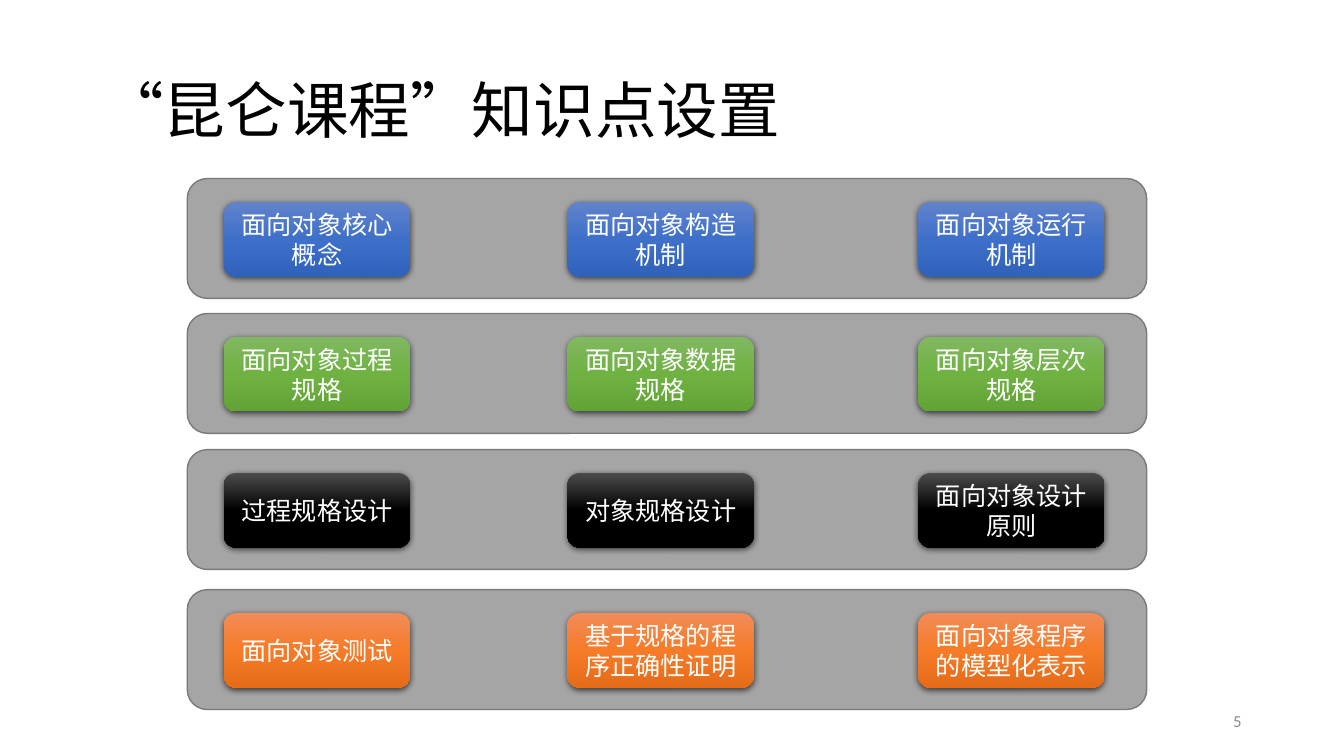
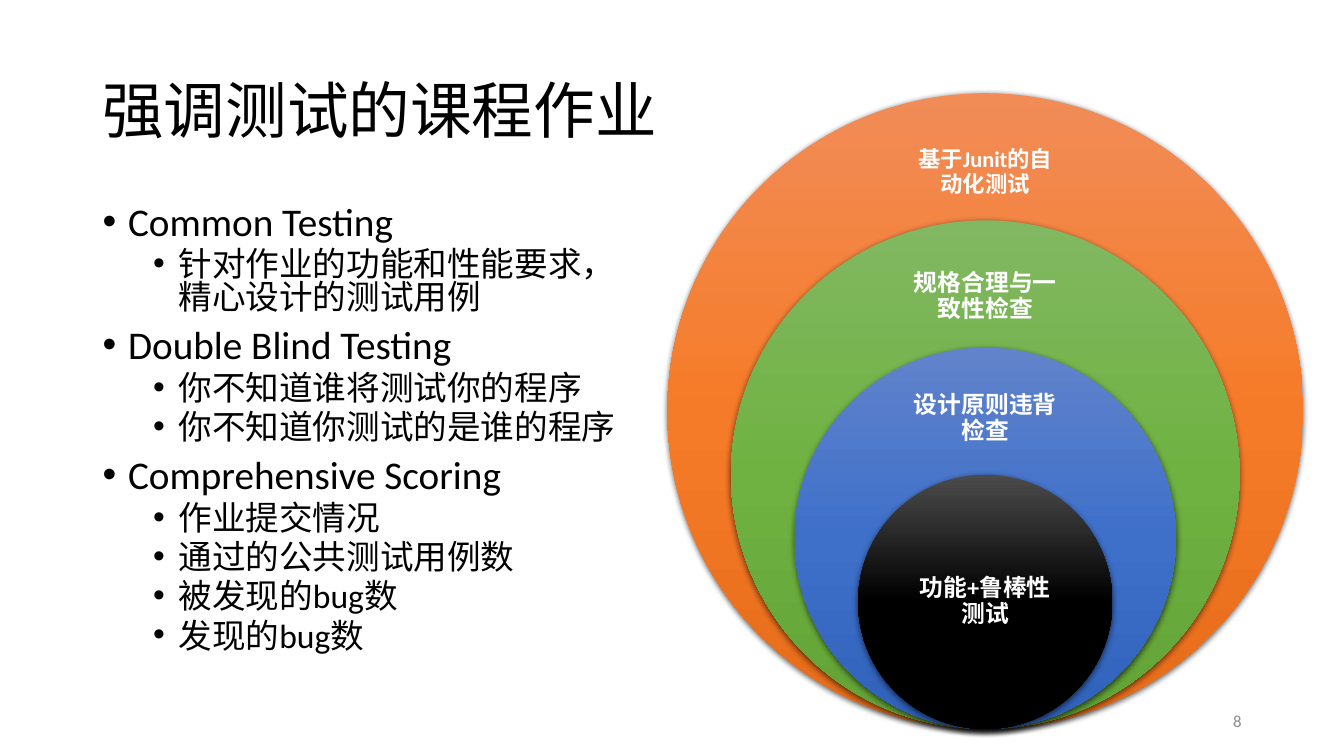
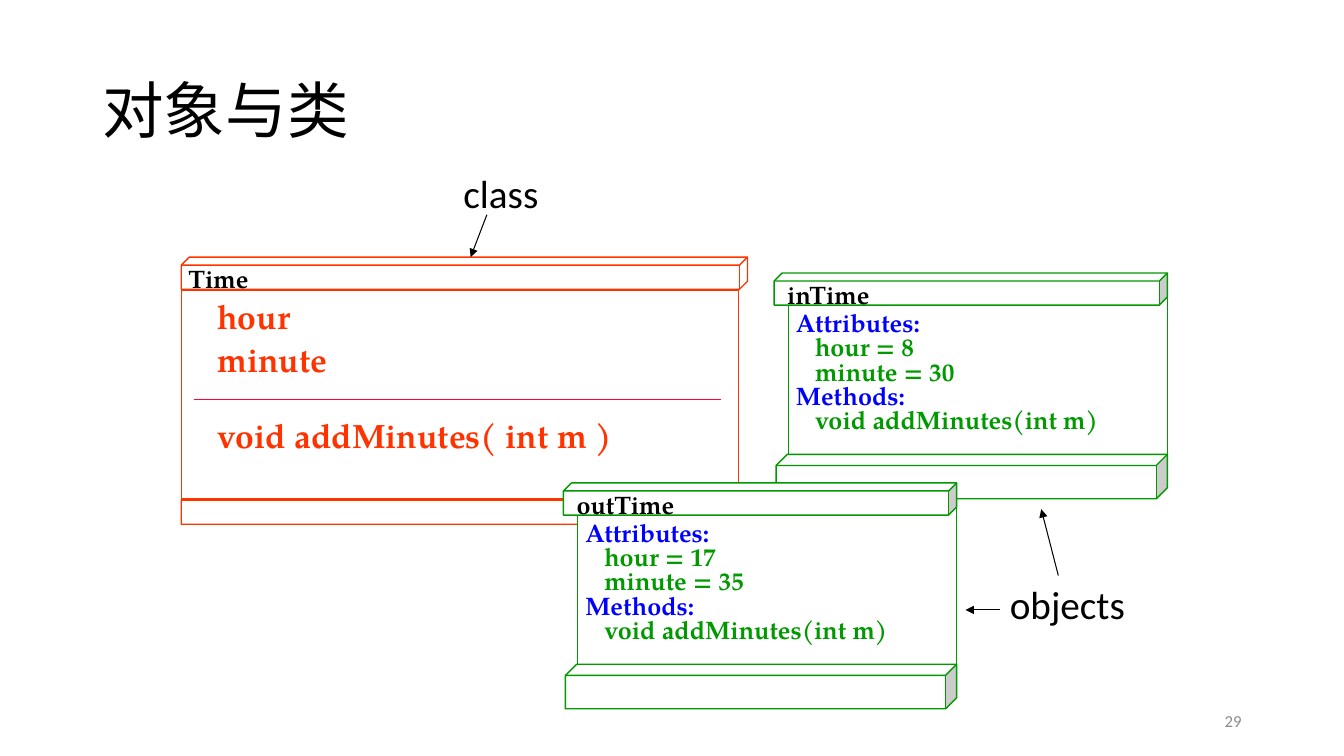
"""Build three slides about an object-oriented programming course."""
from copy import deepcopy
from dataclasses import dataclass, replace

from lxml import etree
from pptx import Presentation
from pptx.dml.color import RGBColor
from pptx.enum.lang import MSO_LANGUAGE_ID
from pptx.enum.shapes import MSO_CONNECTOR, MSO_SHAPE
from pptx.enum.text import MSO_ANCHOR, PP_ALIGN
from pptx.oxml.ns import qn
from pptx.util import Cm, Pt

ROUNDED, OVAL = MSO_SHAPE.ROUNDED_RECTANGLE, MSO_SHAPE.OVAL
CUBE, RECTANGLE = MSO_SHAPE.CUBE, MSO_SHAPE.RECTANGLE
STRAIGHT = MSO_CONNECTOR.STRAIGHT
LEFT, CENTER, RIGHT = PP_ALIGN.LEFT, PP_ALIGN.CENTER, PP_ALIGN.RIGHT
TOP, MIDDLE = MSO_ANCHOR.TOP, MSO_ANCHOR.MIDDLE
CHINESE = MSO_LANGUAGE_ID.SIMPLIFIED_CHINESE

BLACK, WHITE, GRAY = "000000", "FFFFFF", "8C8C8C"
BAND_FILL, BAND_LINE = "A5A5A5", "7A7A7A"
RED, PINK, GREEN, BLUE = "FF3300", "FF0033", "009900", "0000FF"
BLUE_SHADES = ("6183CB", "3E70CA", "3062BB")
GREEN_SHADES = ("81B861", "6FB242", "62A336")
BLACK_SHADES = ("4B4B4B", "000000", "000000")
ORANGE_SHADES = ("F18C57", "F67B28", "E56C19")


@dataclass(frozen=True)
class Style:
    """Paragraph and font settings, with lengths in cm and sizes in points."""
    size: float
    color: str = BLACK
    font: str = "Calibri"
    bold: bool = False
    align: int = LEFT
    line_spacing: float = 1.0
    space_before: float = 0
    indent: float = 0
    bullet: bool = False


TITLE = Style(44, line_spacing=0.9)
PAGE_NUMBER = Style(12, GRAY, align=RIGHT)
CHIP = Style(18, WHITE, align=CENTER)
RING_LABEL = Style(17, WHITE, bold=True, align=CENTER, line_spacing=0.9)
TOPIC = Style(28, line_spacing=0.8, space_before=10, indent=0.64, bullet=True)
DETAIL = replace(TOPIC, size=24, space_before=5, indent=1.91)
CALLOUT = Style(28)
CARD_NAME = Style(18, font="TeX Gyre Pagella", bold=True)
HEADING = replace(CARD_NAME, color=BLUE, line_spacing=0.8)
MEMBER = replace(HEADING, color=GREEN, indent=0.48)
CLASS_MEMBER = replace(HEADING, color=RED, size=24, space_before=8)
CLASS_METHOD = replace(CLASS_MEMBER, space_before=31)


def rgb(value):
    """Turn a hex string into a colour."""
    return RGBColor.from_string(value)


def format_paragraph(paragraph, style):
    """Apply a style to a paragraph and its runs."""
    paragraph.alignment = style.align
    paragraph.line_spacing = style.line_spacing
    paragraph.space_before = Pt(style.space_before)
    properties = paragraph._p.get_or_add_pPr()
    properties.set("marL", str(Cm(style.indent)))
    if style.bullet:
        properties.set("indent", str(-Cm(0.64)))
        etree.SubElement(properties, qn("a:buFont"), typeface="Arial")
        etree.SubElement(properties, qn("a:buChar"), char="•")
    for run in paragraph.runs:
        font = run.font
        font.size = Pt(style.size)
        font.name = style.font
        font.bold = style.bold
        font.color.rgb = rgb(style.color)
        font.language_id = CHINESE


def write_text(shape, lines, anchor=TOP, inset=None):
    """Fill a shape with (text, style) lines."""
    frame = shape.text_frame
    frame.word_wrap = True
    frame.vertical_anchor = anchor
    if inset is not None:
        frame.margin_left = frame.margin_right = Cm(inset)
        frame.margin_top = frame.margin_bottom = Cm(inset)
    frame.text = "\n".join(text for text, style in lines)
    for paragraph, (text, style) in zip(frame.paragraphs, lines):
        format_paragraph(paragraph, style)


def add_text(slide, box, lines, anchor=TOP, inset=None):
    """Add a text box at a (left, top, width, height) box in cm."""
    shape = slide.shapes.add_textbox(*map(Cm, box))
    write_text(shape, lines, anchor, inset)


def add_outlined(slide, kind, box, line, fill=None):
    """Add a flat shape with a thin outline."""
    shape = slide.shapes.add_shape(kind, *map(Cm, box))
    shape.shadow.inherit = False
    shape.line.color.rgb = rgb(line)
    shape.line.width = Pt(1)
    if fill:
        shape.fill.solid()
        shape.fill.fore_color.rgb = rgb(fill)
    else:
        shape.fill.background()


def add_glossy(slide, kind, box, shades):
    """Add a shape with a vertical three-colour gradient and a soft shadow."""
    shape = slide.shapes.add_shape(kind, *map(Cm, box))
    shape.line.fill.background()
    shape.fill.gradient()
    shape.fill.gradient_angle = 270
    properties = shape._element.spPr
    stops = properties.find(".//" + qn("a:gsLst"))
    stops.append(deepcopy(stops[-1]))
    for stop, color, position in zip(shape.fill.gradient_stops, shades, (0, 0.5, 1)):
        stop.color.rgb = rgb(color)
        stop.position = position
    shape.shadow.inherit = False
    shadow = etree.SubElement(
        properties.find(qn("a:effectLst")), qn("a:outerShdw"),
        blurRad=str(Pt(4.5)), dist=str(Pt(1.5)), dir="5400000",
        algn="ctr", rotWithShape="0")
    color = etree.SubElement(shadow, qn("a:srgbClr"), val=BLACK)
    etree.SubElement(color, qn("a:alpha"), val="63000")
    return shape


def add_line(slide, points, color=BLACK, width=0.75, arrow=True):
    """Add a straight line through (x1, y1, x2, y2) in cm."""
    connector = slide.shapes.add_connector(STRAIGHT, *map(Cm, points))
    connector.line.color.rgb = rgb(color)
    connector.line.width = Pt(width)
    if arrow:
        etree.SubElement(connector.line._get_or_add_ln(), qn("a:tailEnd"), type="triangle")
    etree.SubElement(connector._element.spPr, qn("a:effectLst"))


def add_slide(presentation, title, number):
    """Add a blank slide with the shared title and page number."""
    slide = presentation.slides.add_slide(presentation.slide_layouts[6])
    add_text(slide, (2.33, 1.01, 29.21, 3.68), [(title, TITLE)], MIDDLE)
    add_text(slide, (23.92, 17.65, 7.62, 1.01), [(str(number), PAGE_NUMBER)], MIDDLE)
    return slide


def add_topic_band(slide, top, shades, topics):
    """Add a gray band that holds three topic chips."""
    add_outlined(slide, ROUNDED, (4.72, top, 24.18, 3.02), BAND_LINE, BAND_FILL)
    for left, topic in zip((5.64, 14.3, 23.14), topics):
        chip = add_glossy(slide, ROUNDED, (left, top + 0.59, 4.7, 1.88), shades)
        write_text(chip, [(topic, CHIP)], MIDDLE)


def add_rings(slide, rings):
    """Add nested circles that touch at the bottom, each with a label."""
    center, bottom, largest = 24.83, 18.37, 16.02
    for index, (shades, label, size, top, height) in enumerate(rings):
        diameter = largest * (1 - 0.2 * index)
        box = (center - diameter / 2, bottom - diameter, diameter, diameter)
        add_glossy(slide, OVAL, box, shades)
        add_text(slide, (center - 2.24, top, 4.48, height),
                 [(label, replace(RING_LABEL, size=size))], MIDDLE, 0.32)


def add_class_card(slide):
    """Add the red card of the class."""
    for top in (6.48, 12.4):
        add_outlined(slide, CUBE, (4.57, top, 14.27, 0.81), RED)
    add_outlined(slide, RECTANGLE, (4.57, 7.32, 14.05, 5.26), RED, WHITE)
    add_text(slide, (5.23, 7.52, 12.95, 4.17), [
        ("hour", CLASS_MEMBER),
        ("minute", CLASS_MEMBER),
        ("void addMinutes( int m )", CLASS_METHOD),
    ])
    add_text(slide, (4.5, 6.5, 5, 1.02), [("Time", CARD_NAME)])
    add_line(slide, (4.88, 10.06, 18.16, 10.06), PINK, 1, arrow=False)


def add_object_card(slide, left, top, name, hour, minute):
    """Add the green card of one object."""
    add_outlined(slide, RECTANGLE, (left + 0.36, top + 0.05, 9.55, 5.33), GREEN, WHITE)
    add_outlined(slide, CUBE, (left, top, 9.91, 0.81), GREEN, WHITE)
    add_outlined(slide, CUBE, (left + 0.05, top + 4.57, 9.86, 1.12), GREEN, WHITE)
    add_text(slide, (left + 0.08, top + 0.03, 5, 1.02), [(name, CARD_NAME)])
    add_text(slide, (left + 0.3, top + 0.89, 9.17, 3.33), [
        ("Attributes:", HEADING),
        (f"hour = {hour}", MEMBER),
        (f"minute = {minute}", MEMBER),
        ("Methods:", HEADING),
        ("void addMinutes(int m)", MEMBER),
    ])


def build_topics(presentation):
    """Build the slide with the four bands of topics."""
    slide = add_slide(presentation, "“昆仑课程”知识点设置", 5)
    bands = (
        (4.5, BLUE_SHADES, ("面向对象核心概念", "面向对象构造机制", "面向对象运行机制")),
        (7.9, GREEN_SHADES, ("面向对象过程规格", "面向对象数据规格", "面向对象层次规格")),
        (11.33, BLACK_SHADES, ("过程规格设计", "对象规格设计", "面向对象设计原则")),
        (14.86, ORANGE_SHADES,
         ("面向对象测试", "基于规格的程序正确性证明", "面向对象程序的模型化表示")),
    )
    for band in bands:
        add_topic_band(slide, *band)


def build_testing(presentation):
    """Build the slide with the testing list and the nested circles."""
    slide = add_slide(presentation, "强调测试的课程作业", 8)
    add_text(slide, (2.34, 5.08, 13.61, 12.09), [
        ("Common Testing", TOPIC),
        ("针对作业的功能和性能要求，精心设计的测试用例", DETAIL),
        ("Double Blind Testing", TOPIC),
        ("你不知道谁将测试你的程序", DETAIL),
        ("你不知道你测试的是谁的程序", DETAIL),
        ("Comprehensive Scoring", TOPIC),
        ("作业提交情况", DETAIL),
        ("通过的公共测试用例数", DETAIL),
        ("被发现的bug数", DETAIL),
        ("发现的bug数", DETAIL),
    ])
    add_rings(slide, (
        (ORANGE_SHADES, "基于Junit的自动化测试", 16, 3.15, 2.41),
        (GREEN_SHADES, "规格合理与一致性检查", 17, 6.32, 2.31),
        (BLUE_SHADES, "设计原则违背检查", 17, 9.47, 2.16),
        (BLACK_SHADES, "功能+鲁棒性测试", 17, 13.56, 3.2),
    ))


def build_objects(presentation):
    """Build the slide that compares a class with its objects."""
    slide = add_slide(presentation, "对象与类", 29)
    add_class_card(slide)
    add_object_card(slide, 19.51, 6.88, "inTime", 8, 30)
    add_object_card(slide, 14.2, 12.17, "outTime", 17, 35)
    add_text(slide, (11.43, 4.14, 5.72, 1.45), [("class", CALLOUT)])
    add_text(slide, (25.2, 14.5, 3.81, 1.45), [("objects", CALLOUT)])
    for points in ((12.27, 5.41, 11.86, 6.48),
                   (26.67, 14.5, 26.24, 12.83),
                   (25.2, 15.37, 24.33, 15.37)):
        add_line(slide, points)


def main():
    """Build and save the presentation."""
    presentation = Presentation()
    presentation.slide_width = Cm(33.87)
    presentation.slide_height = Cm(19.05)
    build_topics(presentation)
    build_testing(presentation)
    build_objects(presentation)
    presentation.save("out.pptx")


if __name__ == "__main__":
    main()
